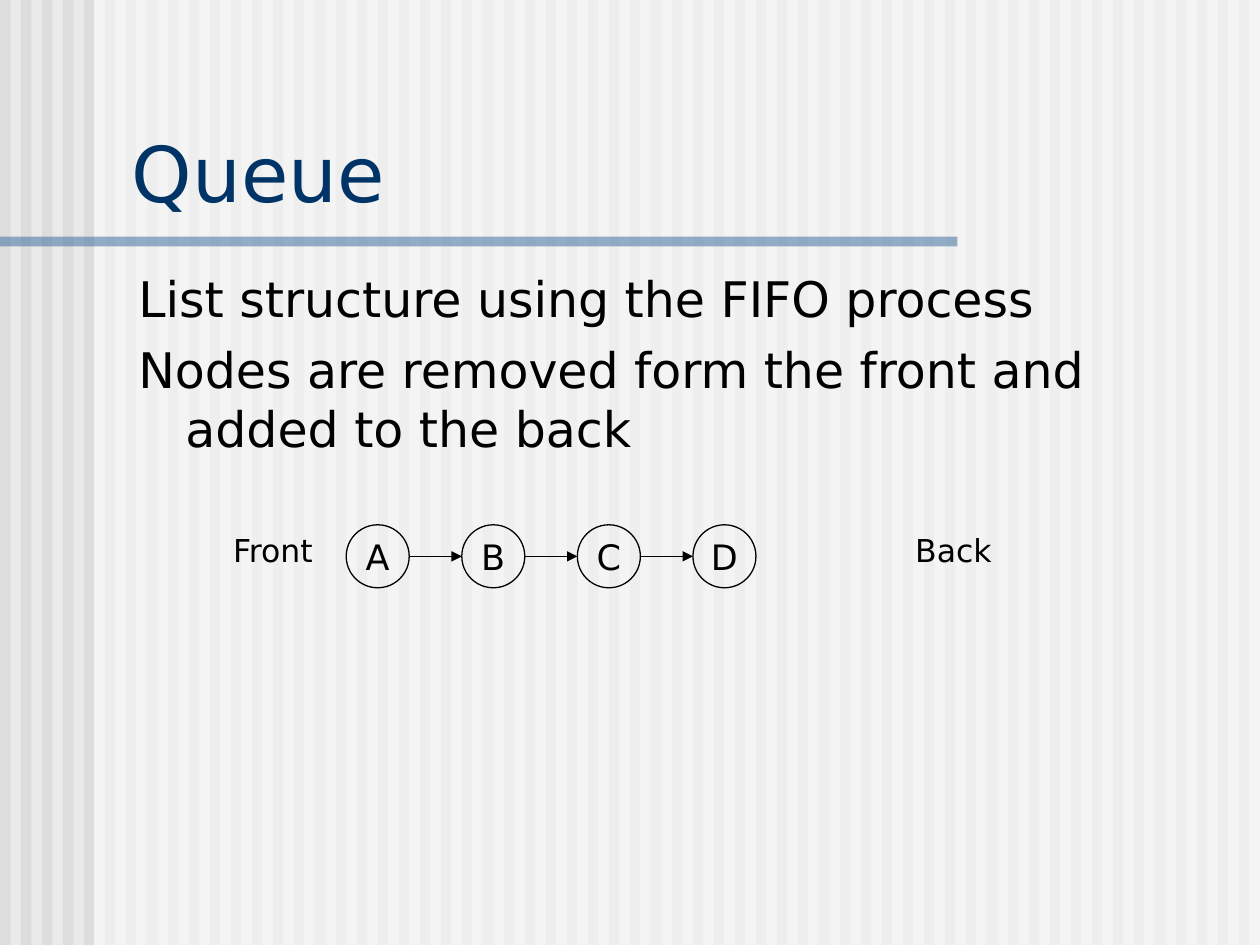
from dataclasses import dataclass

from lxml.etree import SubElement
from pptx import Presentation
from pptx.dml.color import RGBColor as RGB
from pptx.enum.shapes import MSO_CONNECTOR as CONNECTOR, MSO_SHAPE as SHAPE
from pptx.enum.text import MSO_ANCHOR as ANCHOR, PP_ALIGN as ALIGN
from pptx.oxml.ns import qn
from pptx.util import Cm, Pt


@dataclass(frozen=True)
class Theme:
    font: str = "DejaVu Sans"
    background: RGB = RGB(0xEA, 0xEA, 0xEA)
    stripe: RGB = RGB(0xDD, 0xDD, 0xDD)
    panel: RGB = RGB(0xFF, 0xFF, 0xFF)
    rule: RGB = RGB(0x33, 0x66, 0x99)
    title: RGB = RGB(0x00, 0x33, 0x66)
    ink: RGB = RGB(0x00, 0x00, 0x00)
    title_size: Pt = Pt(44)
    body_size: Pt = Pt(28)
    node_size: Pt = Pt(20)
    label_size: Pt = Pt(18)
    line_width: Pt = Pt(0.75)


theme = Theme()
prs = Presentation()
prs.slide_width, prs.slide_height = Cm(25.4), Cm(19.05)
s = prs.slides.add_slide(prs.slide_layouts[6])
s.background.fill.solid()
s.background.fill.fore_color.rgb = theme.background


def add_block(left, top, width, height, color, opacity=100):
    """Add a borderless rectangle; lengths in cm, opacity in percent."""
    sp = s.shapes.add_shape(SHAPE.RECTANGLE, Cm(left), Cm(top), Cm(width), Cm(height))
    sp.shadow.inherit = False
    sp.line.fill.background()
    sp.fill.solid()
    sp.fill.fore_color.rgb = color
    if opacity < 100:
        srgb = sp._element.spPr.find(f"{qn('a:solidFill')}/{qn('a:srgbClr')}")
        SubElement(srgb, qn("a:alpha"), val=str(opacity * 1000))


def write(sp, lines, size, color=theme.ink):
    """Fill a shape with one paragraph per line and return its text frame."""
    tf = sp.text_frame
    tf.word_wrap = True
    tf.text = "\n".join(lines)
    for p in tf.paragraphs:
        p.font.name, p.font.size, p.font.color.rgb = theme.font, size, color
    return tf


# Striped background, softened by a panel right of the left margin
stripe_count = 60
stripe_pitch = 25.4 / stripe_count
for i in range(stripe_count):
    add_block(i * stripe_pitch, 0, stripe_pitch / 2, 19.05, theme.stripe)
add_block(1.9, 0, 23.5, 19.05, theme.panel, opacity=50)
add_block(0, 4.77, 19.3, 0.2, theme.rule, opacity=50)

# Title and body
title = s.shapes.add_textbox(Cm(2.41), Cm(0.53), Cm(22.68), Cm(3.99))
write(title, ["Queue"], theme.title_size, theme.title).vertical_anchor = ANCHOR.BOTTOM

body = s.shapes.add_textbox(Cm(2.54), Cm(5.28), Cm(22.53), Cm(11.63))
tf = write(body, ["List structure using the FIFO process",
                  "Nodes are removed form the front and added to the back"], theme.body_size)
for p in tf.paragraphs:
    pPr = p._p.get_or_add_pPr()
    pPr.set("marL", str(Cm(0.95)))
    pPr.set("indent", str(Cm(-0.95)))
tf.paragraphs[1].space_before = Pt(7)

# Queue diagram: nodes linked from front to back
node_left, node_top, node_size, node_pitch = 6.98, 10.58, 1.27, 2.33
nodes = []
for i, name in enumerate("ABCD"):
    node = s.shapes.add_shape(SHAPE.OVAL, Cm(node_left + i * node_pitch), Cm(node_top),
                              Cm(node_size), Cm(node_size))
    node.shadow.inherit = False
    node.fill.background()
    node.line.color.rgb, node.line.width = theme.ink, theme.line_width
    tf = write(node, [name], theme.node_size)
    tf.word_wrap = False
    tf.vertical_anchor = ANCHOR.MIDDLE
    tf.paragraphs[0].alignment = ALIGN.CENTER
    nodes.append(node)

for label, left in (("Front", 4.45), ("Back", 18.2)):
    box = s.shapes.add_textbox(Cm(left), Cm(node_top), Cm(2.33), Cm(1.02))
    write(box, [label], theme.label_size)

for start, end in zip(nodes, nodes[1:]):
    middle = start.top + start.height // 2
    arrow = s.shapes.add_connector(CONNECTOR.STRAIGHT, start.left + start.width, middle,
                                   end.left, middle)
    arrow.line.color.rgb, arrow.line.width = theme.ink, theme.line_width
    SubElement(arrow.line._get_or_add_ln(), qn("a:tailEnd"), type="triangle")
    SubElement(arrow._element.spPr, qn("a:effectLst"))

prs.save("out.pptx")
